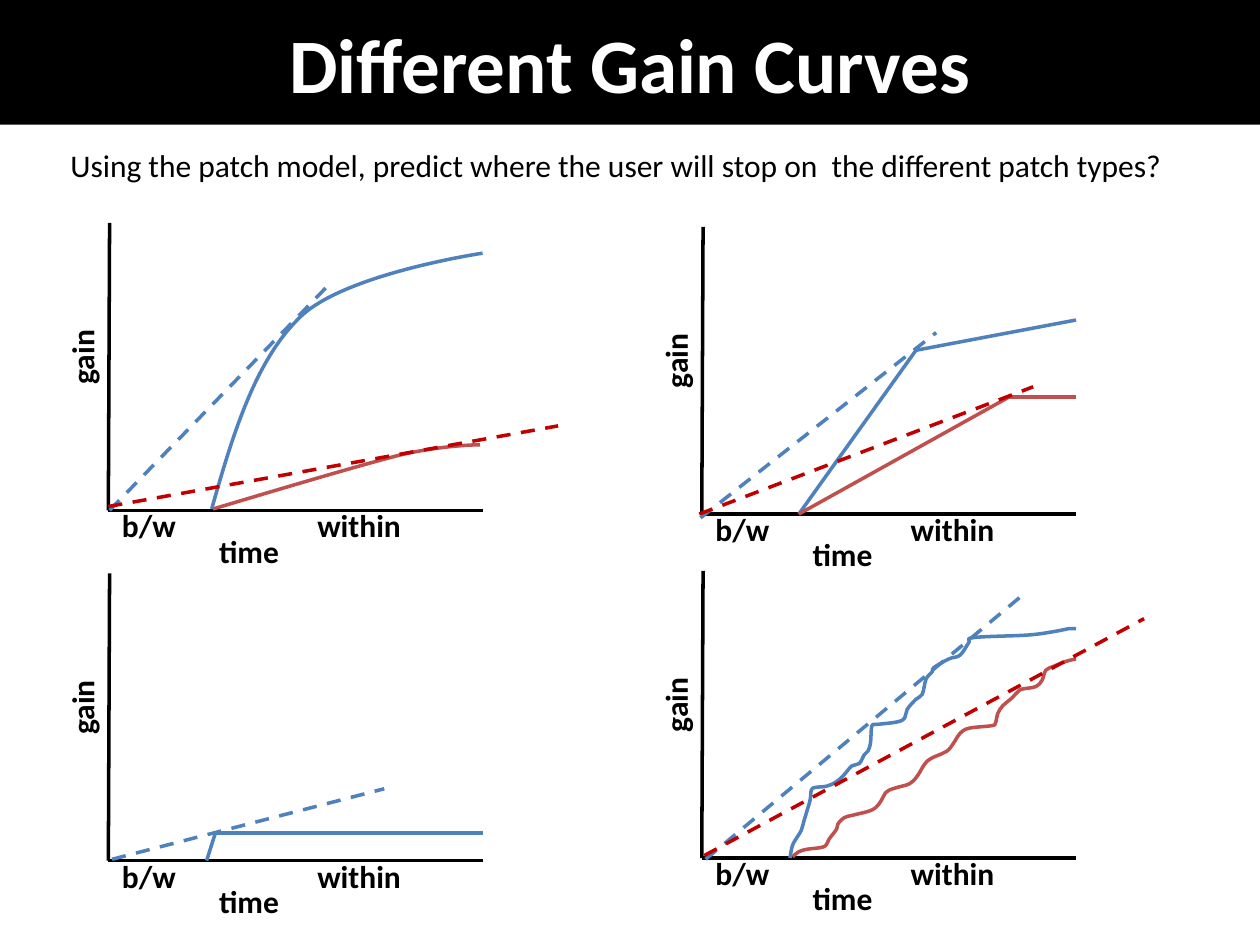
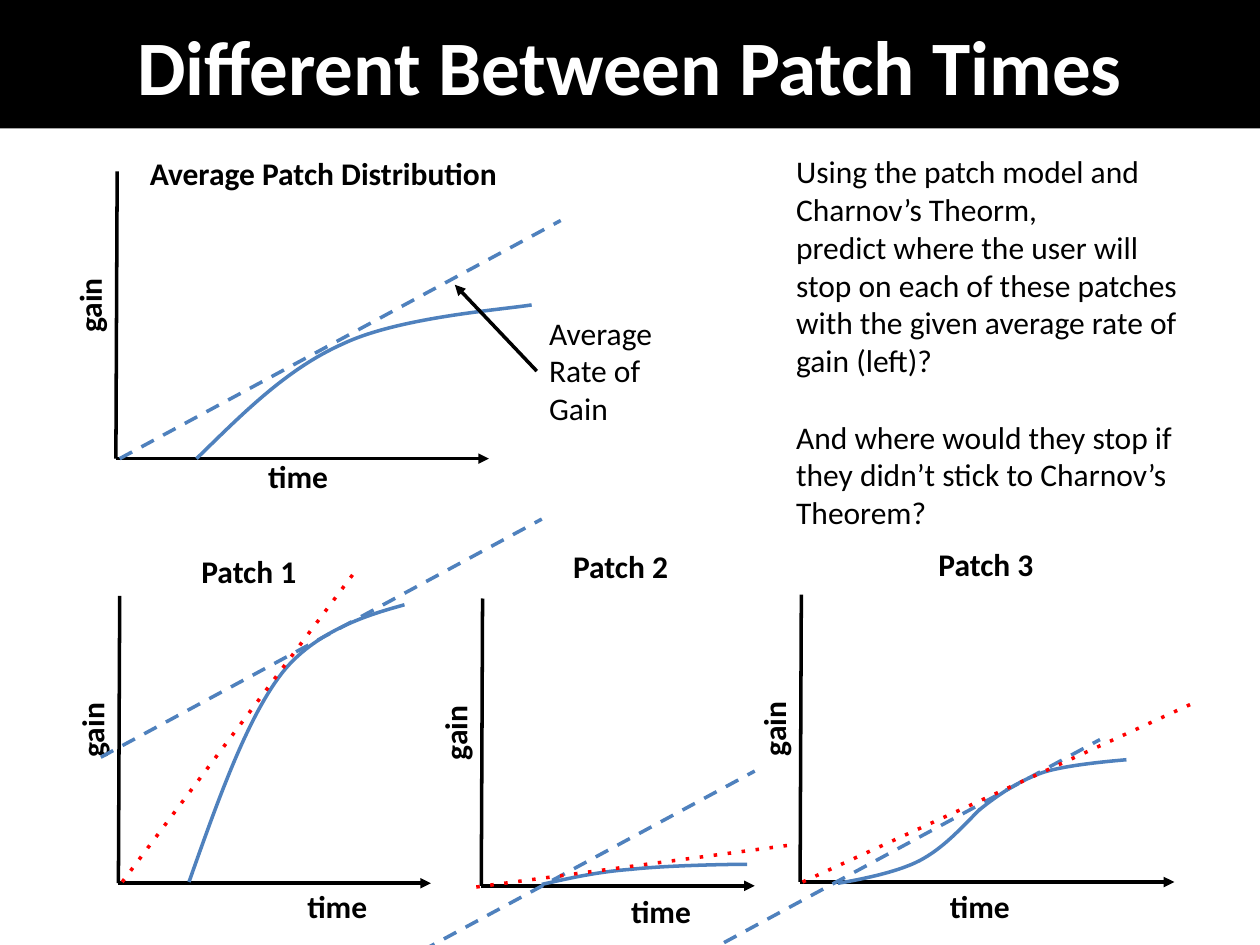
from lxml.etree import SubElement
from pptx import Presentation
from pptx.dml.color import RGBColor
from pptx.enum.shapes import MSO_CONNECTOR
from pptx.enum.text import MSO_ANCHOR, MSO_AUTO_SIZE, PP_ALIGN
from pptx.oxml.ns import qn
from pptx.util import Pt

PX = 9144  # one px is a hundredth of an inch
FONT = "Calibri"
BLACK, WHITE = "000000", "FFFFFF"
BLUE, BRICK, CRIMSON, RED = "4F81BD", "C0504D", "C00000", "FF0000"
RATE = (350, -189)  # run and rise of the average rate of gain

RED_STEPS = [
    (629, 680), (634, 676), (641, 674), (654, 672), (658, 666), (664, 658),
    (665, 654), (670, 649), (677, 647), (689, 644), (695, 641), (699, 636),
    (703, 629), (706, 627), (712, 625), (722, 622), (728, 616), (736, 604),
    (748, 598), (753, 595), (758, 588), (762, 582), (769, 578), (787, 576),
    (790, 574), (792, 566), (796, 560), (802, 555), (808, 549), (811, 547),
    (822, 545), (827, 540), (830, 532), (836, 529), (846, 525), (854, 523)]
BLUE_STEPS = [
    (627, 681), (629, 671), (633, 664), (636, 659), (638, 652), (641, 642),
    (643, 635), (644, 627), (647, 625), (656, 624), (663, 621), (669, 616),
    (676, 608), (682, 606), (686, 599), (689, 596), (691, 589), (692, 576),
    (696, 575), (712, 573), (718, 570), (720, 563), (727, 555), (732, 551),
    (735, 539), (740, 533), (741, 530), (753, 523), (762, 520), (769, 510),
    (773, 506), (816, 504), (838, 501), (848, 499), (854, 499)]


def emu(*sizes):
    return [round(size * PX) for size in sizes]


def color(code):
    return RGBColor.from_string(code)


def write(frame, text, size=18, ink=BLACK, bold=False, wrap=False,
          align=PP_ALIGN.LEFT, fit=MSO_AUTO_SIZE.SHAPE_TO_FIT_TEXT, gaps=()):
    """Fill a frame, one paragraph a line; gaps maps a paragraph to space before."""
    frame.word_wrap = wrap
    frame.auto_size = fit
    gaps = dict(gaps)
    for i, line in enumerate(text.split("\n")):
        para = frame.paragraphs[0] if i == 0 else frame.add_paragraph()
        para.alignment = align
        if i in gaps:
            para.space_before = Pt(gaps[i])
        run = para.add_run()
        run.text = line
        font = run.font
        font.name, font.size, font.bold = FONT, Pt(size), bold
        font.color.rgb = color(ink)


def label(slide, text, left, top, width, height=40, turn=0, **style):
    box = slide.shapes.add_textbox(*emu(left, top, width, height))
    box.rotation = turn
    write(box.text_frame, text, **style)
    return box


def head(slide, text, height):
    title = slide.shapes.title
    title.left, title.top, title.width, title.height = emu(0, 0, 1000, height)
    title.fill.solid()
    title.fill.fore_color.rgb = color(BLACK)
    frame = title.text_frame
    frame.vertical_anchor = MSO_ANCHOR.MIDDLE
    write(frame, text, size=44, ink=WHITE, bold=True, wrap=True,
          align=PP_ALIGN.CENTER, fit=MSO_AUTO_SIZE.NONE)


def line(slide, start, end, ink=BLACK, dash=None, arrow=False):
    wire = slide.shapes.add_connector(
        MSO_CONNECTOR.STRAIGHT, *emu(*start, *end))
    wire.line.color.rgb = color(ink)
    wire.line.width = Pt(2)
    stroke = wire.line._get_or_add_ln()
    if dash:
        SubElement(stroke, qn("a:prstDash"), val=dash)
    if arrow:
        SubElement(stroke, qn("a:tailEnd"), type="triangle")
    SubElement(wire._element.spPr, qn("a:effectLst"))
    return wire


def chain(slide, points, ink):
    """Join the points with straight lines."""
    for start, end in zip(points, points[1:]):
        line(slide, start, end, ink)


def curve(slide, points, ink=BLUE):
    """Draw cubic pieces: a start, then two controls and an end for each."""
    dots = [emu(*point) for point in points]
    build = slide.shapes.build_freeform(*dots[0], scale=1.0)
    build.add_line_segments(dots[1:], close=False)
    shape = build.convert_to_shape()
    route = next(shape._element.iter(qn("a:path")))
    legs = route.findall(qn("a:lnTo"))
    for i in range(0, len(legs), 3):
        piece = SubElement(route, qn("a:cubicBezTo"))
        for leg in legs[i:i + 3]:
            piece.append(leg[0])
            route.remove(leg)
    shape.shadow.inherit = False
    shape.fill.background()
    shape.line.color.rgb = color(ink)
    shape.line.width = Pt(2)


def smooth(points):
    """Give cubic pieces that pass through all the points."""
    ends = [points[0], *points, points[-1]]
    path = [points[0]]
    for a, b, c, d in zip(ends, ends[1:], ends[2:], ends[3:]):
        path.append((b[0] + (c[0] - a[0]) / 6, b[1] + (c[1] - a[1]) / 6))
        path.append((c[0] - (d[0] - b[0]) / 6, c[1] - (d[1] - b[1]) / 6))
        path.append(c)
    return path


def axes(slide, x, y, length=297, arrow=False, time=(78, 12)):
    """Draw the axes from their origin, with the names of both."""
    line(slide, (x + 1, y - 228), (x, y))
    line(slide, (x + length, y) if not arrow else (x, y),
         (x, y) if not arrow else (x + length, y), arrow=arrow)
    label(slide, "time", x + time[0], y + time[1], 68, bold=True)
    label(slide, "gain", x - 53, y - 142, 64, turn=270, bold=True)


def panel(slide, x, y):
    axes(slide, x, y)
    label(slide, "b/w", x + 1, y - 8, 63, bold=True)
    label(slide, "within", x + 156, y - 8, 87, bold=True)


def gains(slide):
    head(slide, "Different Gain Curves", 99)
    for x, y in [(86, 405), (557, 408), (86, 683), (557, 681)]:
        panel(slide, x, y)

    curve(slide, [(168, 404), (185, 344), (203, 285), (239, 251),
                  (275, 217), (383, 201), (383, 201)])
    curve(slide, [(169, 404), (226, 387), (283, 370), (318, 361),
                  (353, 353), (381, 353), (381, 353)], BRICK)
    chain(slide, [(634, 408), (727, 278), (854, 254)], BLUE)
    chain(slide, [(634, 408), (801, 315), (854, 315)], BRICK)
    chain(slide, [(164, 683), (171, 661), (383, 661)], BLUE)
    curve(slide, smooth(RED_STEPS), BRICK)
    curve(slide, smooth(BLUE_STEPS), BLUE)

    label(slide, "Using the patch model, predict where the user will stop on"
          "  the different patch types?", 46, 111, 898)
    for start, end, ink in [
            ((87, 405), (261, 226), BLUE), ((86, 402), (443, 338), CRIMSON),
            ((556, 411), (743, 264), BLUE), ((555, 408), (820, 307), CRIMSON),
            ((89, 682), (305, 626), BLUE),
            ((560, 682), (812, 472), BLUE), ((559, 679), (908, 491), CRIMSON)]:
        line(slide, start, end, ink, dash="dash")


def times(slide):
    head(slide, "Different Between Patch Times", 102)
    label(slide, "Using the patch model and Charnov’s Theorm,\n"
          "predict where the user will stop on each of these patches with "
          "the given average rate of gain (left)?\n"
          "And where would they stop if they didn’t stick to Charnov’s "
          "Theorem?", 622, 116, 339, 313, wrap=True, gaps={2: 22})

    for x, y, length, time in [
            (92, 364, 296, (111, -6)), (94, 701, 248, (140, -2)),
            (382, 703, 217, (109, 0)), (635, 700, 297, (109, -1))]:
        axes(slide, x, y, length, arrow=True, time=time)
    for text, left, top, width in [
            ("Average Patch Distribution", 109, 117, 302),
            ("Patch 1", 150, 433, 96), ("Patch 2", 445, 429, 96),
            ("Patch 3", 735, 428, 96)]:
        label(slide, text, left, top, width, bold=True)

    for points in [
            [(156, 364), (192, 329), (227, 293), (272, 273),
             (316, 252), (396, 246), (422, 242)],
            [(150, 700), (173, 635), (196, 570), (224, 534),
             (253, 497), (304, 485), (321, 480)],
            [(430, 702), (452, 697), (474, 692), (501, 690),
             (528, 687), (577, 686), (593, 686)],
            [(778, 642), (763, 657), (749, 673), (730, 683),
             (711, 693), (677, 699), (665, 701)],
            [(777, 643), (792, 631), (808, 620), (828, 613),
             (847, 607), (883, 604), (894, 603)]]:
        curve(slide, points)

    for x, y in [(95, 364), (80, 601), (249, 801), (523, 776)]:
        line(slide, (x, y), (x + RATE[0], y + RATE[1]), BLUE, dash="dash")
    for start, end in [((97, 700), (280, 456)), ((378, 704), (625, 671)),
                       ((637, 700), (945, 559))]:
        line(slide, start, end, RED, dash="dot")

    note = label(slide, "Average Rate of Gain", 426, 244, 129, 101, wrap=True)
    wire = line(slide, (426, 294), (361, 226), arrow=True)
    wire.begin_connect(note, 1)


def main():
    deck = Presentation()
    deck.slide_width, deck.slide_height = emu(1000, 750)
    for fill in (gains, times):
        fill(deck.slides.add_slide(deck.slide_layouts[5]))
    deck.save("out.pptx")


if __name__ == "__main__":
    main()
